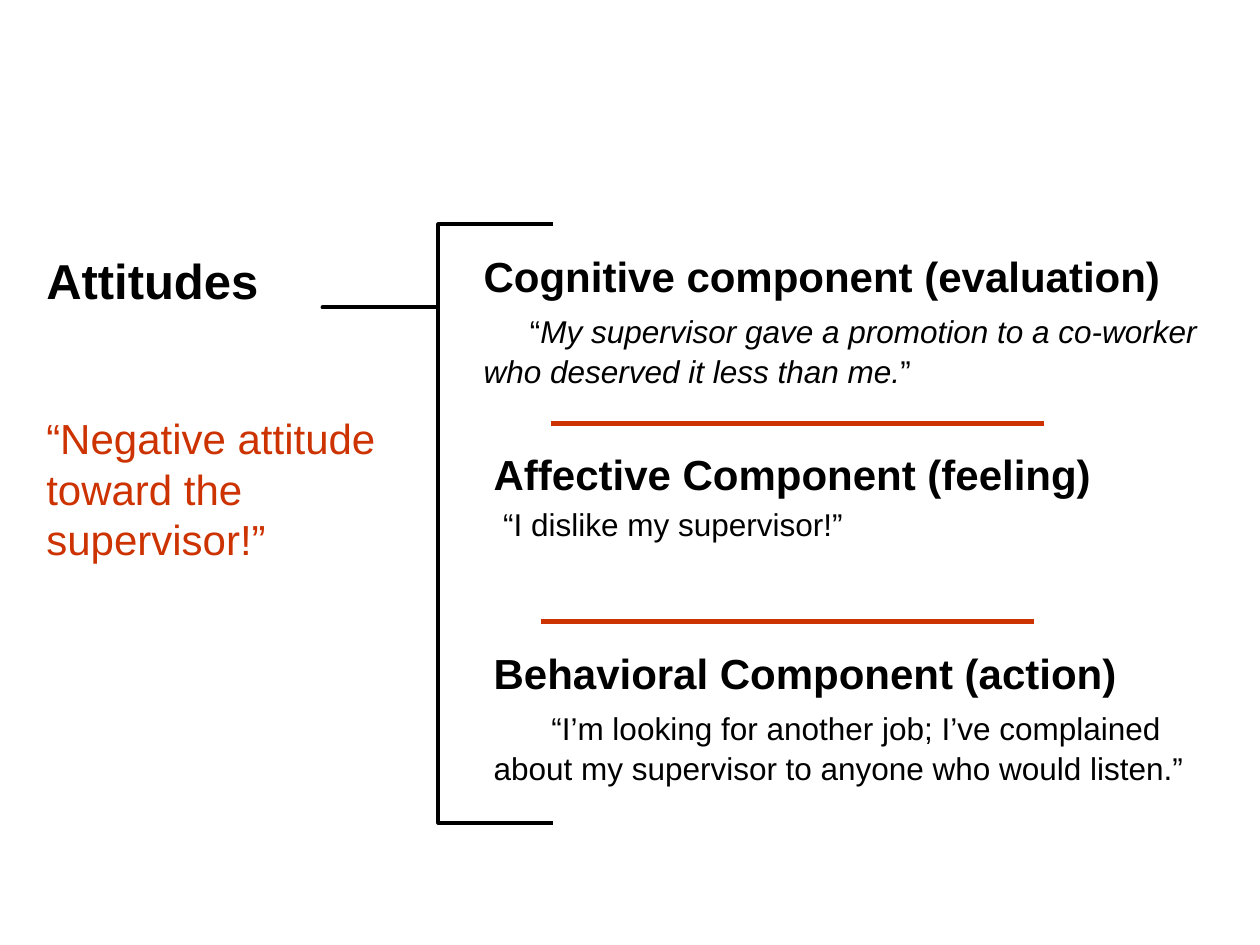
from lxml.etree import SubElement
from pptx import Presentation
from pptx.dml.color import RGBColor
from pptx.enum.shapes import MSO_CONNECTOR
from pptx.enum.text import MSO_AUTO_SIZE
from pptx.oxml.ns import qn
from pptx.util import Pt

BLACK = "000000"
RED = "CC3300"


def color(hex_value):
    return RGBColor.from_string(hex_value)


def add_text(left, top, width, height, paragraphs):
    """Each paragraph: (space before, first-line indent, line spacing, runs)."""
    box = slide.shapes.add_textbox(Pt(left), Pt(top), Pt(width), Pt(height))
    frame = box.text_frame
    frame.word_wrap = True
    frame.auto_size = MSO_AUTO_SIZE.SHAPE_TO_FIT_TEXT
    for index, (before, indent, spacing, runs) in enumerate(paragraphs):
        paragraph = frame.add_paragraph() if index else frame.paragraphs[0]
        paragraph.space_before = Pt(before)
        paragraph.line_spacing = spacing
        if indent:
            properties = paragraph._p.get_or_add_pPr()
            properties.set("marL", "0")
            properties.set("indent", str(Pt(indent)))
        for text, size, hex_value, bold, italic in runs:
            run = paragraph.add_run()
            run.text = text
            run.font.name = "Arial"
            run.font.size = Pt(size)
            run.font.bold = bold
            run.font.italic = italic
            run.font.color.rgb = color(hex_value)


presentation = Presentation()
presentation.slide_width = Pt(720)
presentation.slide_height = Pt(540)
slide = presentation.slides.add_slide(presentation.slide_layouts[6])

# Red dividers between the components
for left, top in [(314.6, 242), (308.9, 355)]:
    divider = slide.shapes.add_connector(
        MSO_CONNECTOR.STRAIGHT, Pt(left), Pt(top), Pt(left + 282), Pt(top))
    divider.line.color.rgb = color(RED)
    divider.line.width = Pt(3)
    SubElement(divider._element.spPr, qn("a:effectLst"))

# Attitude on the left
add_text(19.4, 139.7, 244, 229.7, [
    (0, 0, 1.0, [("Attitudes", 28, BLACK, True, False)]),
    (59, 0, 1.0, [("“Negative attitude toward the supervisor!”", 24, RED, False, False)]),
])

# Three components on the right: box, heading, space and indent of quote, quote runs
components = [
    (269.3, 139.7, 436.3, 86.4, "Cognitive component (evaluation)", 5, 26.5, [
        ("“", False),
        ("My supervisor gave a promotion to a co-worker who deserved it less than me.", True),
        ("”", False)]),
    (275, 252.7, 408.2, 60.5, "Affective Component (feeling)", 2, 5.5, [
        ("“I dislike my supervisor!”", False)]),
    (275, 366.5, 427, 86.4, "Behavioral Component (action)", 5, 33, [
        ("“I’m looking for another job; I’ve complained about my supervisor "
         "to anyone who would listen.”", False)]),
]
for left, top, width, height, heading, before, indent, quote in components:
    add_text(left, top, width, height, [
        (0, 0, 1.0, [(heading, 24, BLACK, True, False)]),
        (before, indent, 1.06,
         [(text, 18, BLACK, False, italic) for text, italic in quote]),
    ])

# Bracket with a stem toward the attitude
stem_left, spine, arm_right = Pt(184.3), Pt(250.5), Pt(316)
top, stem, bottom = Pt(128.2), Pt(175.7), Pt(470.2)
builder = slide.shapes.build_freeform(arm_right, top)
builder.add_line_segments([
    (spine, top), (spine, stem), (stem_left, stem), (spine, stem),
    (spine, bottom), (arm_right, bottom),
], close=False)
bracket = builder.convert_to_shape()
bracket.shadow.inherit = False
bracket.fill.background()
bracket.line.color.rgb = color(BLACK)
bracket.line.width = Pt(2.25)

presentation.save("out.pptx")
